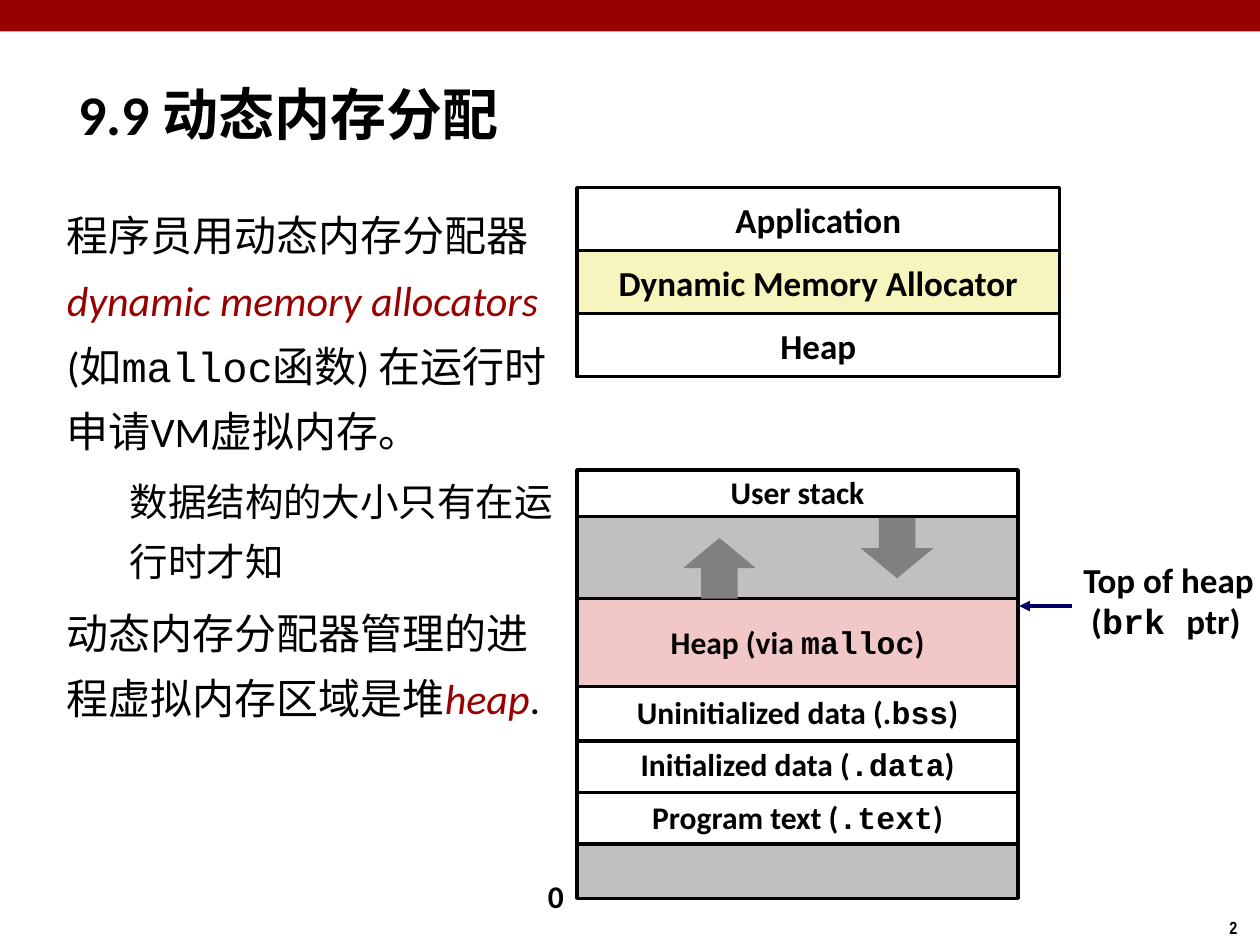
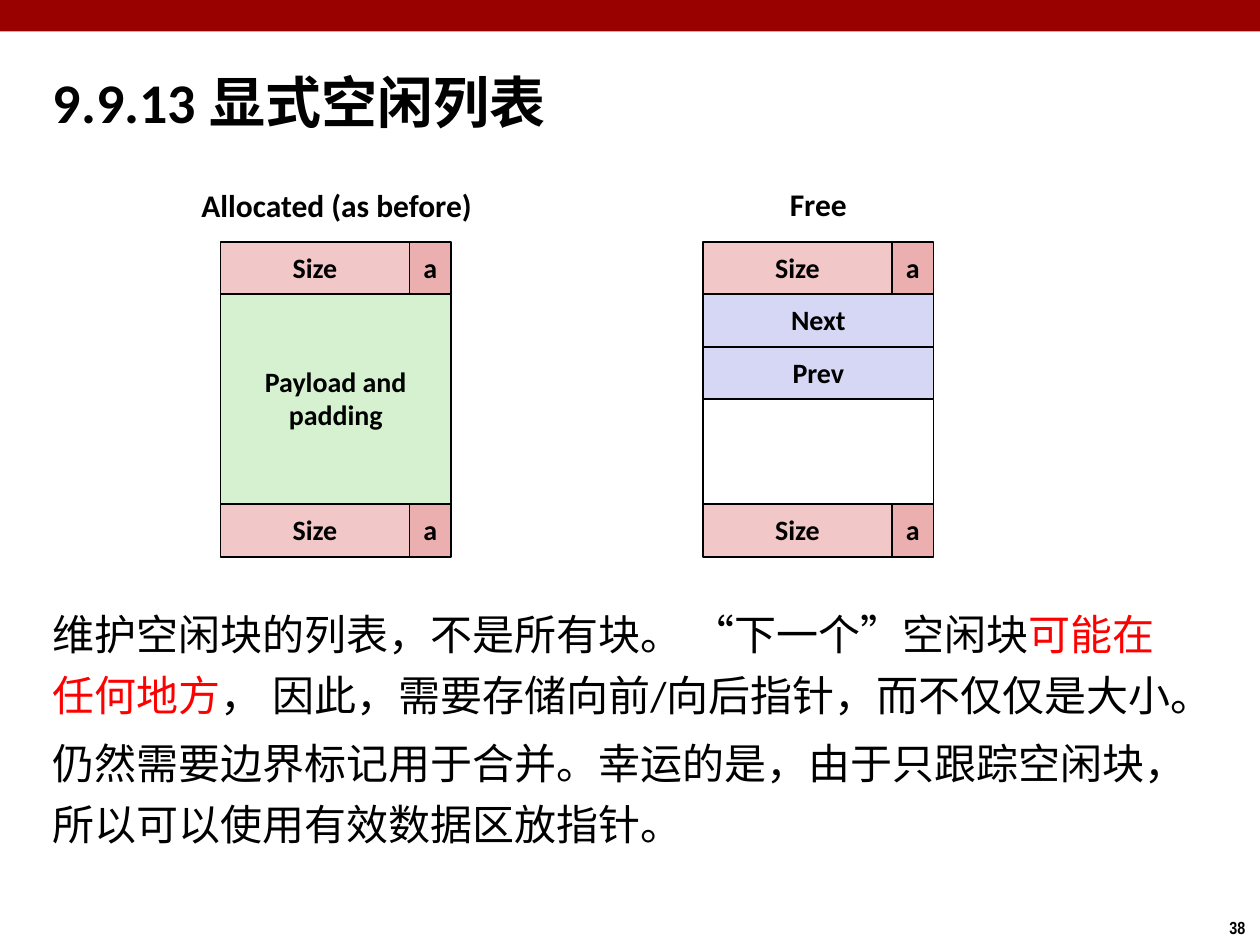
from lxml import etree
from pptx import Presentation
from pptx.dml.color import RGBColor
from pptx.enum.shapes import MSO_CONNECTOR, MSO_SHAPE
from pptx.enum.text import MSO_ANCHOR, MSO_AUTO_SIZE, PP_ALIGN
from pptx.oxml.ns import qn
from pptx.util import Inches, Pt

RECT, UP_ARROW, DOWN_ARROW = MSO_SHAPE.RECTANGLE, MSO_SHAPE.UP_ARROW, MSO_SHAPE.DOWN_ARROW
STRAIGHT = MSO_CONNECTOR.STRAIGHT
MIDDLE = MSO_ANCHOR.MIDDLE
NO_FIT, GROW = MSO_AUTO_SIZE.NONE, MSO_AUTO_SIZE.SHAPE_TO_FIT_TEXT
LEFT, CENTER = PP_ALIGN.LEFT, PP_ALIGN.CENTER

SANS, MONO, NARROW = "Calibri", "Courier New", "Arial Narrow"
BLACK, WHITE, CRIMSON, RED = "000000", "FFFFFF", "990000", "FF0000"
SILVER, GREY, NAVY = "C0C0C0", "808080", "000066"
PINK, ROSE, GREEN, LILAC, YELLOW = "F1C7C7", "EBAFAF", "D5F1CF", "D6D6F5", "F6F5BD"

TERM = {"color": CRIMSON, "italic": True}
CODE = {"font": MONO}
ALERT = {"color": RED}


def rgb(value):
    """Turn a hex string into a colour."""
    return RGBColor.from_string(value)


def write_runs(paragraph, pieces, size, bold=False):
    """Fill a paragraph with plain strings or (string, style) pairs."""
    for piece in pieces:
        text, style = (piece, {}) if isinstance(piece, str) else piece
        run = paragraph.add_run()
        run.text = text
        run.font.size = Pt(size)
        run.font.bold = bold
        run.font.italic = style.get("italic", False)
        run.font.name = style.get("font", SANS)
        run.font.color.rgb = rgb(style.get("color", BLACK))


def write_lines(frame, lines, size, align, spacing=None, style=None):
    """Write bold lines, each a list of pieces, into a text frame."""
    frame.word_wrap = False
    for index, pieces in enumerate(lines):
        paragraph = frame.add_paragraph() if index else frame.paragraphs[0]
        paragraph.alignment = align
        paragraph.line_spacing = spacing
        if style:
            pieces = [(piece, style) for piece in pieces]
        write_runs(paragraph, pieces, size, bold=True)


def add_box(slide, place, fill, line_width=0, lines=(), size=18, kind=RECT, spacing=0.98):
    """Add a filled shape with an optional black outline and centred label."""
    box = slide.shapes.add_shape(kind, *map(Inches, place))
    box.shadow.inherit = False
    box.fill.solid()
    box.fill.fore_color.rgb = rgb(fill)
    if line_width:
        box.line.color.rgb = rgb(BLACK)
        box.line.width = Pt(line_width)
    else:
        box.line.fill.background()
    box.text_frame.vertical_anchor = MIDDLE
    write_lines(box.text_frame, lines, size, CENTER, spacing)


def add_label(slide, place, lines, size, spacing=None, style=None):
    """Add a free-standing bold label."""
    frame = slide.shapes.add_textbox(*map(Inches, place)).text_frame
    write_lines(frame, lines, size, LEFT, spacing, style)
    frame.auto_size = GROW


def add_pointer(slide, start, end):
    """Add a navy line with an arrowhead at its end."""
    pointer = slide.shapes.add_connector(STRAIGHT, *map(Inches, start + end))
    pointer.line.color.rgb = rgb(NAVY)
    pointer.line.width = Pt(2)
    etree.SubElement(pointer.line._get_or_add_ln(), qn("a:tailEnd"), type="triangle")
    etree.SubElement(pointer._element.spPr, qn("a:effectLst"))


def place_frame(placeholder, place):
    """Move a placeholder and return its text frame, without autofit."""
    placeholder.left, placeholder.top, placeholder.width, placeholder.height = map(Inches, place)
    placeholder.text_frame.auto_size = NO_FIT
    placeholder.text_frame.word_wrap = True
    return placeholder.text_frame


def set_indent(paragraph, left):
    """Give a paragraph a flush left margin and no bullet."""
    properties = paragraph._p.get_or_add_pPr()
    properties.set("marL", str(Inches(left)))
    properties.set("indent", "0")
    etree.SubElement(properties, qn("a:buNone"))


def start_slide(deck, number, title, title_place, title_indent=0, title_spacing=None):
    """Add a slide with the shared band, page number and title style."""
    slide = deck.slides.add_slide(deck.slide_layouts[1])
    add_box(slide, (0, 0, 10, 0.25), CRIMSON)
    add_label(slide, (9.66, 7.23, 0.34, 0.27), [[number]], 10, style={"font": NARROW})
    frame = place_frame(slide.shapes.title, title_place)
    frame.vertical_anchor = MIDDLE
    heading = frame.paragraphs[0]
    heading.alignment = LEFT
    heading.line_spacing = title_spacing
    set_indent(heading, title_indent)
    write_runs(heading, [title], 32, bold=True)
    return slide


def fill_body(slide, place, spacing, items):
    """Write (level, pieces) items into the body placeholder."""
    frame = place_frame(slide.placeholders[1], place)
    for index, (level, pieces) in enumerate(items):
        paragraph = frame.add_paragraph() if index else frame.paragraphs[0]
        paragraph.level = level
        paragraph.line_spacing = spacing
        set_indent(paragraph, 0.5 * level)
        write_runs(paragraph, pieces, 24 - 2 * level)


def add_allocator_layers(slide):
    """Draw the three layers from application to heap."""
    layers = [("Application", WHITE), ("Dynamic Memory Allocator", YELLOW), ("Heap", WHITE)]
    for index, (name, fill) in enumerate(layers):
        add_box(slide, (4.58, 1.49 + 0.5 * index, 3.83, 0.5), fill, 2, [[name]], 20, spacing=None)


def add_address_space(slide):
    """Draw the process memory map with its growth arrows and labels."""
    segments = [
        (4.08, 0.67, SILVER, []),
        (4.75, 0.72, PINK, ["Heap (via ", ("malloc", CODE), ")"]),
        (6.28, 0.43, WHITE, ["Program text (", (".text", CODE), ")"]),
        (5.86, 0.43, WHITE, ["Initialized data (", (".data", CODE), ")"]),
        (5.45, 0.43, WHITE, ["Uninitialized data (.", ("bss", CODE), ")"]),
        (3.73, 0.37, WHITE, ["User stack"]),
        (6.7, 0.43, SILVER, []),
    ]
    for top, height, fill, label in segments:
        add_box(slide, (4.58, top, 3.5, height), fill, 2, [label] if label else [])
    add_label(slide, (4.25, 6.93, 0.33, 0.4), [["0"]], 18, 0.98)
    heap_top = [["Top of heap"], [" (", ("brk ", CODE), "ptr)"]]
    add_label(slide, (8.5, 4.4, 1.56, 0.76), heap_top, 20, 0.98)
    add_pointer(slide, (8.51, 4.81), (8.09, 4.81))
    add_box(slide, (6.83, 4.11, 0.58, 0.48), GREY, kind=DOWN_ARROW)
    add_box(slide, (5.42, 4.27, 0.58, 0.48), GREY, kind=UP_ARROW)


def add_block(slide, left, fields):
    """Draw a heap block: (rows, fill, lines) fields between two size tags."""
    row, size_width, flag_width = 5 / 12, 1.5, 0.33
    top = 1.92

    def add_tag(tag_top):
        """Draw a size field and its allocated flag."""
        add_box(slide, (left, tag_top, size_width, row), PINK, 1, [["Size"]], 16)
        add_box(slide, (left + size_width, tag_top, flag_width, row), ROSE, 1, [["a"]], 16)

    add_tag(top)
    top += row
    for rows, fill, lines in fields:
        add_box(slide, (left, top, size_width + flag_width, rows * row), fill, 1, lines, 16)
        top += rows * row
    add_tag(top)


def build_allocation_slide(deck):
    """Build the slide on dynamic memory allocation."""
    slide = start_slide(deck, "2", "9.9 动态内存分配", (0.39, 0.48, 8.3, 0.83), title_indent=0.13)
    fill_body(slide, (0.43, 1.49, 4.14, 5.44), 1.3, [
        (0, ["程序员用动态内存分配器", ("dynamic memory allocators ", TERM), "(如",
             ("malloc函数", CODE), ") 在运行时申请VM虚拟内存。"]),
        (1, ["数据结构的大小只有在运行时才知"]),
        (0, ["动态内存分配器管理的进程虚拟内存区域是堆", ("heap", TERM), "."]),
    ])
    add_address_space(slide)
    add_allocator_layers(slide)


def build_free_list_slide(deck):
    """Build the slide on explicit free lists."""
    slide = start_slide(deck, "38", "9.9.13 显式空闲列表", (0.32, 0.53, 6.64, 0.63),
                        title_spacing=0.87)
    fill_body(slide, (0.32, 4.7, 9.09, 2.02), 1.2, [
        (0, ["维护空闲块的列表，不是所有块。 “下一个”空闲块", ("可能在任何地方", ALERT),
             "， 因此，需要存储向前/向后指针，而不仅仅是大小。"]),
        (0, ["仍然需要边界标记用于合并。幸运的是，由于只跟踪空闲块，"
             "所以可以使用有效数据区放指针。"]),
    ])
    add_block(slide, 1.75, [(4, GREEN, [["Payload and"], ["padding"]])])
    add_block(slide, 5.58, [(1, LILAC, [["Next"]]), (1, LILAC, [["Prev"]]), (2, WHITE, [])])
    add_label(slide, (1.5, 1.43, 2.37, 0.4), [["Allocated (as before)"]], 18)
    add_label(slide, (6.17, 1.42, 0.66, 0.4), [["Free"]], 18)


def main():
    """Build and save the deck."""
    deck = Presentation()
    deck.slide_width, deck.slide_height = Inches(10), Inches(7.5)
    build_allocation_slide(deck)
    build_free_list_slide(deck)
    deck.save("out.pptx")


main()
